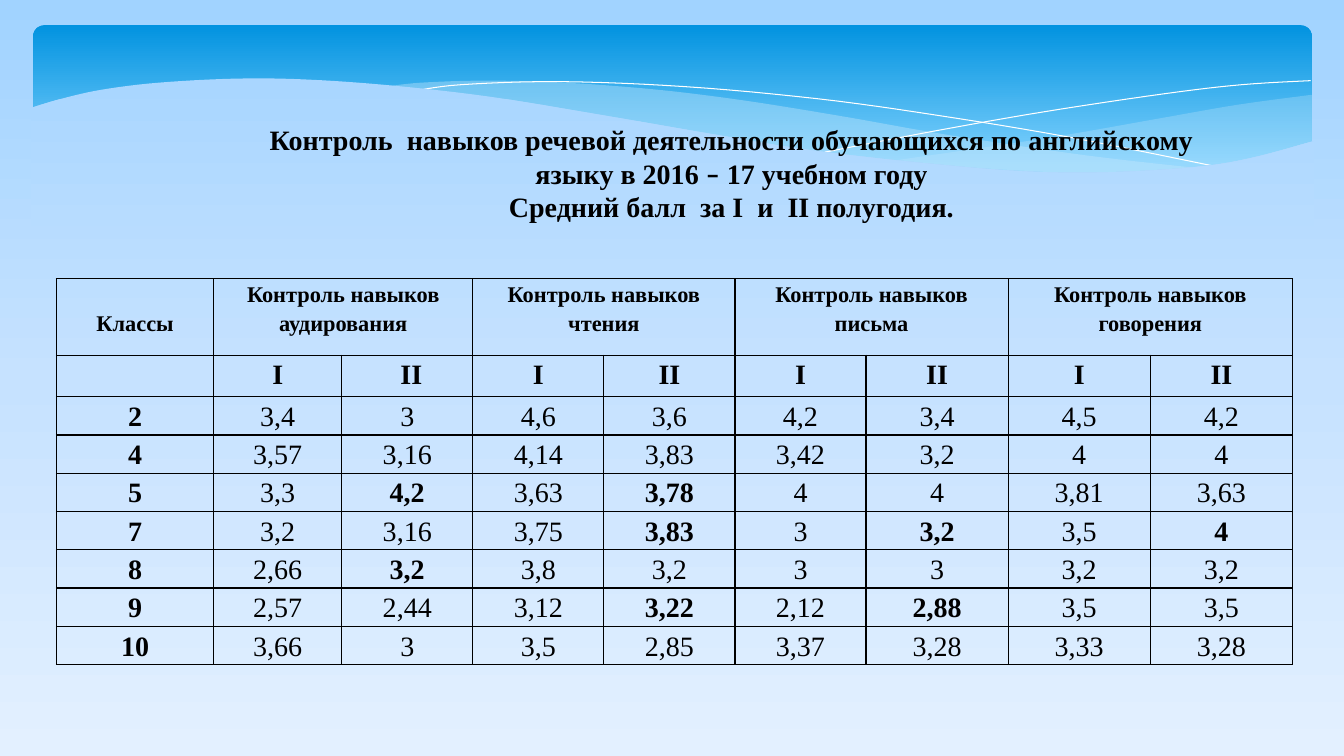
import copy

import pptx
import pptx.dml.color
import pptx.enum.shapes
import pptx.enum.text
import pptx.oxml
import pptx.oxml.ns
import pptx.util

# The slide is a grid of 1333 columns by 750 rows; boxes are (left, top, width, height).
UNIT = 9144
COLUMNS, ROWS = 1333, 750
FONT = "Times New Roman"

BAND_BOX = (33, 25, 1268, 156)
TITLE_BOX = (244, 116, 963, 141)
SCORES_BOX = (56, 276.5, 1226, 383)

# Wave outlines, in grid steps from the band's top left corner.
RIGHT_VEIL = [
    [(1268, 69), (1194, 79), (1114, 93), (1005, 112), (849, 135)],
    [(849, 135), (943, 142), (1038, 147), (1105, 147), (1174, 138), (1224, 129), (1268, 117)],
]
LEFT_VEIL = [
    [(1157, 142), (1043, 129), (908, 109), (806, 91), (707, 75), (619, 64),
     (527, 57), (449, 55), (385, 57), (349, 61)],
    [(349, 61), (423, 69), (566, 91), (722, 118), (854, 136), (965, 145),
     (1043, 148), (1098, 147), (1157, 142)],
]
FALLING_LINE = [[(379, 65), (425, 59), (522, 56), (647, 61), (778, 73),
                 (894, 89), (1027, 111), (1177, 141)]]
RISING_LINE = [[(785, 126), (894, 105), (1002, 86), (1122, 68), (1199, 59), (1267, 55)]]
LOWER_WAVE = [
    [(1270, 115), (1207, 132), (1150, 141), (1064, 146), (982, 145), (885, 137),
     (771, 124), (673, 108), (563, 89), (453, 71), (357, 60), (273, 54),
     (202, 53), (125, 57), (68, 64), (28, 73), (-2, 82)],
    [(-2, 199), (1270, 199)],
]

TITLE = [
    ["Контроль  навыков речевой деятельности обучающихся по английскому языку в 2016 ",
     "–", " 17 учебном году"],
    ["Средний балл  за I  и  II полугодия."],
]
SKILLS = ["аудирования", "чтения", "письма", "говорения"]
# An asterisk marks a score set in bold.
SCORES = """
2 3,4 3 4,6 3,6 4,2 3,4 4,5 4,2
4 3,57 3,16 4,14 3,83 3,42 3,2 4 4
5 3,3 4,2* 3,63 3,78* 4 4 3,81 3,63
7 3,2 3,16 3,75 3,83* 3 3,2* 3,5 4*
8 2,66 3,2* 3,8 3,2 3 3 3,2 3,2
9 2,57 2,44 3,12 3,22* 2,12 2,88* 3,5 3,5
10 3,66 3 3,5 2,85 3,37 3,28 3,33 3,28
"""
COLUMN_WIDTHS = [156, 127, 130, 130, 130, 130, 141, 141, 141]
ROW_HEIGHTS = [76, 41] + [38] * 7


def grid(*steps):
    return [pptx.util.Emu(round(step * UNIT)) for step in steps]


def color(hex_string):
    return pptx.dml.color.RGBColor.from_string(hex_string)


def vertical_gradient(fill, owner, stops):
    """Fill top to bottom with (position, colour) stops."""
    fill.gradient()
    fill.gradient_angle = 270
    stop_list = owner.find(".//" + pptx.oxml.ns.qn("a:gsLst"))
    while len(stop_list) < len(stops):
        stop_list.append(copy.deepcopy(stop_list[-1]))
    for stop, (position, hex_string) in zip(fill.gradient_stops, stops):
        stop.position = position
        stop.color.rgb = color(hex_string)


def smooth(points, steps=6):
    """Catmull-Rom curve through the points."""
    ends = [points[0]] + points + [points[-1]]
    curve = [points[0]]
    for a, b, c, d in zip(ends, ends[1:], ends[2:], ends[3:]):
        for step in range(1, steps + 1):
            t = step / steps
            curve.append(tuple(
                (2 * q + (r - p) * t + (2 * p - 5 * q + 4 * r - s) * t ** 2
                 + (3 * q - p - 3 * r + s) * t ** 3) / 2
                for p, q, r, s in zip(a, b, c, d)))
    return curve


def add_wave(slide, box, edges, closed=True):
    outline = [grid(box[0] + x, box[1] + y) for edge in edges for x, y in smooth(edge)]
    builder = slide.shapes.build_freeform(*outline[0])
    builder.add_line_segments(outline[1:], close=closed)
    wave = builder.convert_to_shape()
    wave.shadow.inherit = False
    if closed:
        wave.line.fill.background()
    else:
        wave.fill.background()
        wave.line.color.rgb = color("FFFFFF")
        wave.line.width = 0
    return wave


def add_band(slide, box):
    band = slide.shapes.add_shape(
        pptx.enum.shapes.MSO_SHAPE.ROUNDED_RECTANGLE, *grid(*box))
    band.adjustments[0] = 0.07
    band.shadow.inherit = False
    band.line.fill.background()
    vertical_gradient(band.fill, band._element, [(0, "0293E0"), (0.9, "83D3FE")])

    for edges, opacity in ((RIGHT_VEIL, 29), (LEFT_VEIL, 40)):
        veil = add_wave(slide, box, edges)
        veil.fill.solid()
        veil.fill.fore_color.rgb = color("C6E7FC")
        tint = veil._element.spPr.find(".//" + pptx.oxml.ns.qn("a:srgbClr"))
        tint.append(pptx.oxml.parse_xml(
            f'<a:alpha {pptx.oxml.ns.nsdecls("a")} val="{opacity * 1000}"/>'))
    for edges in (FALLING_LINE, RISING_LINE):
        add_wave(slide, box, edges, closed=False)

    # These two colours match the background at the wave's top and bottom.
    lower = add_wave(slide, box, LOWER_WAVE)
    vertical_gradient(lower.fill, lower._element, [(0, "A9D6FF"), (1, "B7DCFF")])


def format_run(run, size, bold=True, font=FONT):
    run.font.name = font
    run.font.size = pptx.util.Pt(size)
    run.font.bold = bold
    run.font.color.rgb = color("000000")


def place_title(slide, box):
    title = slide.shapes.title
    title.left, title.top, title.width, title.height = grid(*box)
    slide.shapes._spTree.append(title._element)
    frame = title.text_frame
    frame.word_wrap = True
    frame.auto_size = pptx.enum.text.MSO_AUTO_SIZE.NONE
    frame.vertical_anchor = pptx.enum.text.MSO_ANCHOR.MIDDLE
    frame.margin_bottom, = grid(35)
    frame.text = "\n".join("".join(pieces) for pieces in TITLE)
    for line, pieces in zip(frame.paragraphs, TITLE):
        line.alignment = pptx.enum.text.PP_ALIGN.CENTER
        line.runs[0].text = pieces[0]
        for piece in pieces[1:]:
            line.add_run().text = piece
        for run in line.runs:
            format_run(run, 20, font="Calibri" if run.text == "–" else FONT)


def fill_cell(cell, text, size, bold):
    cell.margin_left, cell.margin_right, cell.margin_top, cell.margin_bottom = grid(7, 7, 0, 0)
    for side in "LRTB":
        cell._tc.get_or_add_tcPr().append(pptx.oxml.parse_xml(
            f'<a:ln{side} {pptx.oxml.ns.nsdecls("a")} w="12700"><a:solidFill>'
            f'<a:srgbClr val="000000"/></a:solidFill></a:ln{side}>'))
    cell.fill.background()
    if text:
        cell.text_frame.text = text
        paragraph = cell.text_frame.paragraphs[0]
        paragraph.alignment = pptx.enum.text.PP_ALIGN.CENTER
        paragraph.line_spacing = 1.15
        format_run(paragraph.runs[0], size, bold)


def add_scores(slide, box):
    heading = ["Классы"]
    for skill in SKILLS:
        heading += [f"Контроль навыков {skill}", ""]
    rows = [heading, [""] + ["I", "II"] * len(SKILLS)]
    rows += [line.split() for line in SCORES.strip().splitlines()]

    scores = slide.shapes.add_table(len(rows), len(heading), *grid(*box)).table
    scores.first_row = scores.horz_banding = False
    for column, width in zip(scores.columns, grid(*COLUMN_WIDTHS)):
        column.width = width
    for row, height in zip(scores.rows, grid(*ROW_HEIGHTS)):
        row.height = height
    for r, row in enumerate(rows):
        for c, text in enumerate(row):
            bold = r < 2 or c == 0 or text.endswith("*")
            fill_cell(scores.cell(r, c), text.rstrip("*"), 20 if r else 16, bold)
    for c in range(1, len(heading), 2):
        scores.cell(0, c).merge(scores.cell(0, c + 1))
    scores.cell(0, 0).margin_top, scores.cell(1, 2).margin_left = grid(29, 15)


def main():
    deck = pptx.Presentation()
    deck.slide_width, deck.slide_height = grid(COLUMNS, ROWS)
    slide = deck.slides.add_slide(deck.slide_layouts.get_by_name("Title Only"))
    vertical_gradient(slide.background.fill, slide._element,
                      [(0, "A1D3FF"), (0.5, "C6E2FF"), (1, "E3F0FF")])
    add_band(slide, BAND_BOX)
    add_scores(slide, SCORES_BOX)
    place_title(slide, TITLE_BOX)
    deck.save("out.pptx")


if __name__ == "__main__":
    main()
